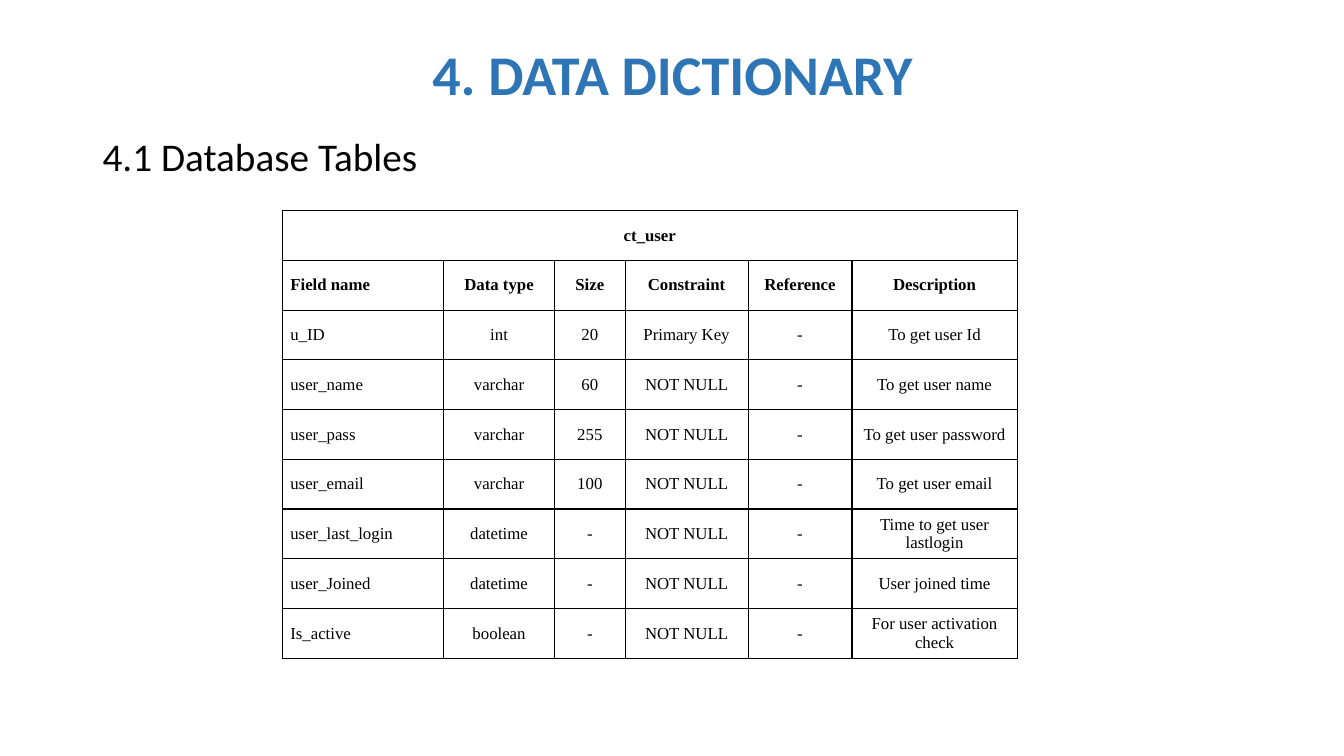
from pptx import Presentation
from pptx.dml.color import RGBColor
from pptx.enum.text import MSO_ANCHOR, MSO_AUTO_SIZE, PP_ALIGN
from pptx.oxml import parse_xml
from pptx.oxml.ns import nsdecls
from pptx.util import Pt

PX = 9144  # 100 px to the inch
BLUE = RGBColor(0x2E, 0x75, 0xB6)
BLACK = RGBColor(0, 0, 0)
WHITE = RGBColor(255, 255, 255)
LEFT, CENTER = PP_ALIGN.LEFT, PP_ALIGN.CENTER
TOP, MIDDLE = MSO_ANCHOR.TOP, MSO_ANCHOR.MIDDLE
NO_FIT = MSO_AUTO_SIZE.NONE
TITLE_ONLY = 5

WIDTHS = [160, 110, 70, 122, 103, 164]
HEADS = ["Field name", "Data type", "Size", "Constraint", "Reference", "Description"]
FIELDS = [
    ["u_ID", "int", "20", "Primary Key", "-", "To get user Id"],
    ["user_name", "varchar", "60", "NOT NULL", "-", "To get user name"],
    ["user_pass", "varchar", "255", "NOT NULL", "-", "To get user password"],
    ["user_email", "varchar", "100", "NOT NULL", "-", "To get user email"],
    ["user_last_login", "datetime", "-", "NOT NULL", "-", "Time to get user lastlogin"],
    ["user_Joined", "datetime", "-", "NOT NULL", "-", "User joined time"],
    ["Is_active", "boolean", "-", "NOT NULL", "-", "For user activation check"],
]


def px(*nums):
    return [n * PX for n in nums]


def style(para, face, size, color, bold, align):
    para.alignment = align
    font = para.font
    font.name, font.size, font.bold = face, Pt(size), bold
    font.color.rgb = color


def fill_text(shape, box, text, size, color, bold, align, anchor):
    shape.left, shape.top, shape.width, shape.height = px(*box)
    frame = shape.text_frame
    frame.text = text
    frame.word_wrap, frame.auto_size = True, NO_FIT
    frame.vertical_anchor = anchor
    para = frame.paragraphs[0]
    para.line_spacing = 0.9
    style(para, "Calibri", size, color, bold, align)


def add_edges(cell):
    props = cell._tc.get_or_add_tcPr()
    for i, side in enumerate(("lnL", "lnR", "lnT", "lnB")):
        props.insert(i, parse_xml(
            f'<a:{side} {nsdecls("a")} w="{Pt(1)}"><a:solidFill>'
            f'<a:srgbClr val="{BLACK}"/></a:solidFill></a:{side}>'))


def fill_cell(cell, text, bold, align):
    cell.fill.solid()
    cell.fill.fore_color.rgb = WHITE
    cell.margin_left = cell.margin_right = 8 * PX
    cell.margin_top = cell.margin_bottom = 0
    cell.vertical_anchor = MIDDLE
    cell.text = text
    style(cell.text_frame.paragraphs[0], "Times New Roman", 12, BLACK, bold, align)
    add_edges(cell)


def add_fields(slide, box, name):
    rows = [[name] + [""] * (len(HEADS) - 1), HEADS] + FIELDS
    table = slide.shapes.add_table(len(rows), len(HEADS), *px(*box)).table
    table.first_row = table.horz_banding = False
    for col, width in zip(table.columns, WIDTHS):
        col.width = width * PX
    for r, row in enumerate(rows):
        table.rows[r].height = box[3] * PX // len(rows)
        for c, text in enumerate(row):
            align = LEFT if c == 0 and r > 0 else CENTER
            fill_cell(table.cell(r, c), text, r < 2, align)
    # Table name spans the top row
    table.cell(0, 0).merge(table.cell(0, len(HEADS) - 1))


def main():
    deck = Presentation()
    deck.slide_width, deck.slide_height = px(1333, 750)
    slide = deck.slides.add_slide(deck.slide_layouts[TITLE_ONLY])

    # Title and section heading
    fill_text(slide.shapes.title, (92, 40, 1150, 74), "4. DATA DICTIONARY",
              40, BLUE, True, CENTER, MIDDLE)
    box = (92, 132, 1150, 544)
    fill_text(slide.shapes.add_textbox(*px(*box)), box, "4.1 Database Tables",
              28, BLACK, False, LEFT, TOP)

    # Field table
    add_fields(slide, (280, 209, sum(WIDTHS), 444), "ct_user")
    deck.save("out.pptx")


if __name__ == "__main__":
    main()
